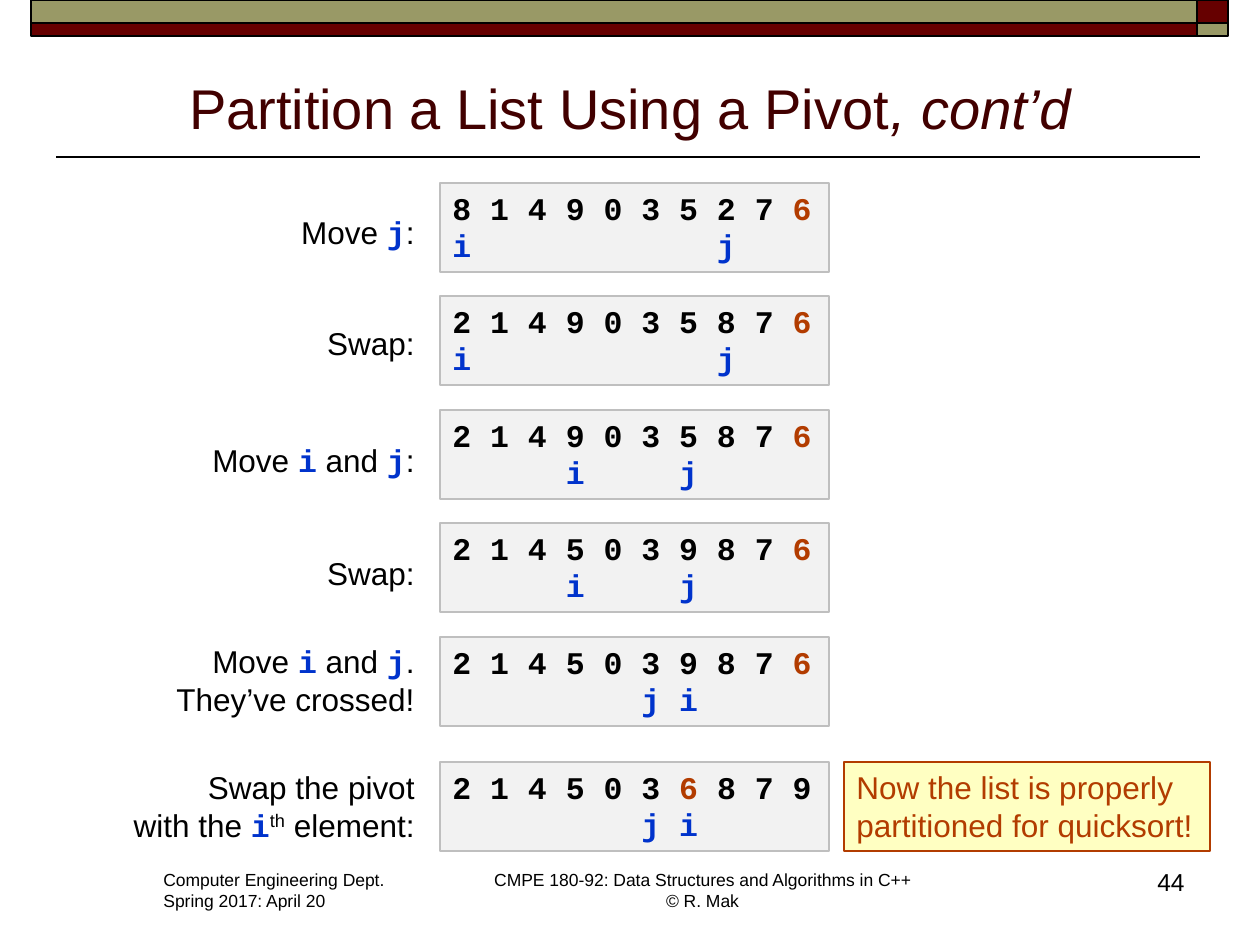
from dataclasses import dataclass

from lxml import etree
from pptx import Presentation
from pptx import util as u
from pptx.dml.color import RGBColor
from pptx.enum import shapes, text
from pptx.oxml.ns import qn

SCALE = 914400 // 126


@dataclass(frozen=True)
class Theme:
    """Colours, fonts and type sizes of the slide."""
    ink: str = "000000"
    title: str = "420000"
    maroon: str = "660000"
    olive: str = "999966"
    index: str = "0033CC"
    pivot: str = "B23C00"
    panel: str = "F2F2F2"
    panel_edge: str = "BFBFBF"
    note: str = "FFFFC2"
    sans: str = "Arial"
    mono: str = "Courier New"
    title_size: int = 32
    body_size: int = 18
    number_size: int = 14
    footer_size: int = 10
    body_pitch: float = 21.5


THEME = Theme()
LEFT, CENTER, RIGHT = (text.PP_ALIGN.LEFT, text.PP_ALIGN.CENTER,
                       text.PP_ALIGN.RIGHT)
TOP, BOTTOM = text.MSO_ANCHOR.TOP, text.MSO_ANCHOR.BOTTOM

# Span styles: font, colour, bold, italic, baseline shift
STYLES = {
    "plain": (THEME.sans, THEME.ink, False, False, 0),
    "title": (THEME.sans, THEME.title, False, False, 0),
    "slant": (THEME.sans, THEME.title, False, True, 0),
    "note": (THEME.sans, THEME.pivot, False, False, 0),
    "super": (THEME.sans, THEME.ink, False, False, 30000),
    "index": (THEME.mono, THEME.index, True, False, 0),
    "digit": (THEME.mono, THEME.ink, True, False, 0),
    "pivot": (THEME.mono, THEME.pivot, True, False, 0),
}

I, J = ("i", "index"), ("j", "index")
MOVE, AND, SWAP = ("Move ", "plain"), (" and ", "plain"), ("Swap:", "plain")
BREAK = ("", "break")

# Each step: digits, pivot position, positions of i and j,
# label left, label top, label height, label lines
STEPS = [
    ("8149035276", 9, 0, 7, 290, 207, 50, [[MOVE, J, (":", "plain")]]),
    ("2149035876", 9, 0, 7, 315, 318, 50, [[SWAP]]),
    ("2149035876", 9, 3, 6, 200, 435, 50, [[MOVE, I, AND, J, (":", "plain")]]),
    ("2145039876", 9, 3, 6, 315, 548, 50, [[SWAP]]),
    ("2145039876", 9, 6, 5, 163, 636, 88,
     [[MOVE, I, AND, J, (".", "plain")], [("They’ve crossed!", "plain")]]),
    ("2145036879", 6, 6, 5, 102, 762, 89,
     [[("Swap the pivot", "plain")],
      [("with the ", "plain"), I, ("th", "super"), (" element:", "plain")]]),
]
LABEL_RIGHT = 427
FIRST_TOP, STEP_PITCH, LAST_GAP = 183, 113.4, 12
DIGIT_PITCH = 37.8


def px(value):
    """Turn pixels into EMU."""
    return u.Emu(round(value * SCALE))


def write(box, lines, size, align=LEFT, anchor=TOP, pitch=None):
    """Fill a box with lines, each a list of (text, style) spans."""
    frame = box.text_frame
    frame.word_wrap = True
    frame.vertical_anchor = anchor
    # Only the side that the text is aligned to needs an inset
    if align != LEFT:
        frame.margin_left = 0
    if align != RIGHT:
        frame.margin_right = 0
    for number, line in enumerate(lines):
        para = frame.add_paragraph() if number else frame.paragraphs[0]
        para.alignment = align
        if pitch:
            para.line_spacing = u.Pt(pitch)
        for words, style in line:
            if style == "break":
                para.add_line_break()
                continue
            span = para.add_run()
            span.text = words
            face, color, bold, italic, shift = STYLES[style]
            span.font.name, span.font.size = face, u.Pt(size)
            span.font.bold, span.font.italic = bold, italic
            span.font.color.rgb = RGBColor.from_string(color)
            if shift:
                span._r.get_or_add_rPr().set("baseline", str(shift))


def add_text(page, area, lines, size, **options):
    """Add a text box at (left, top, width, height)."""
    box = page.shapes.add_textbox(*map(px, area))
    write(box, lines, size, **options)


def add_panel(page, area, fill, edge, weight=0.75):
    """Add a filled rectangle with an outline."""
    box = page.shapes.add_shape(shapes.MSO_SHAPE.RECTANGLE, *map(px, area))
    box.shadow.inherit = False
    box.fill.solid()
    box.fill.fore_color.rgb = RGBColor.from_string(fill)
    box.line.color.rgb = RGBColor.from_string(edge)
    box.line.width = u.Pt(weight)
    return box


def add_rule(page, left, right, y):
    """Add the line under the title."""
    rule = page.shapes.add_connector(
        shapes.MSO_CONNECTOR.STRAIGHT, px(right), px(y), px(left), px(y))
    rule.line.color.rgb = RGBColor.from_string(THEME.ink)
    rule.line.width = u.Pt(1)
    etree.SubElement(rule._element.spPr, qn("a:effectLst"))


def set_tabs(para, columns):
    """Put a left tab stop at each digit column."""
    tabs = etree.SubElement(para._p.get_or_add_pPr(), qn("a:tabLst"))
    for column in columns:
        etree.SubElement(tabs, qn("a:tab"), pos=str(px(column * DIGIT_PITCH)),
                         algn="l")


def add_list(page, top, digits, pivot, i, j):
    """Add a panel with the list and its two index markers."""
    box = add_panel(page, (440, top, 389, 89), THEME.panel, THEME.panel_edge)
    before, after = " ".join(digits[:pivot]), " ".join(digits[pivot + 1:])
    values = [(before + " ", "digit"), (digits[pivot], "pivot")]
    if after:
        values.append((" " + after, "digit"))
    markers = sorted([(i, "i"), (j, "j")])
    marks = "".join(("\t" if column else "") + name for column, name in markers)
    write(box, [values, [(marks, "index")]], THEME.body_size,
          pitch=THEME.body_pitch)
    box.text_frame.margin_top = px(6)
    box.text_frame.margin_bottom = 0
    set_tabs(box.text_frame.paragraphs[1],
             [column for column, _ in markers if column])


def add_header(page):
    """Add the title, its rule and the bands at the top."""
    add_rule(page, 56, 1200, 157)
    for left, top, width, height, fill in (
            (1197, 0, 31, 23, THEME.maroon), (31, 0, 1166, 23, THEME.olive),
            (31, 23, 1166, 13, THEME.maroon), (1197, 23, 31, 13, THEME.olive)):
        add_panel(page, (left, top, width, height), fill, THEME.ink, 1)
    add_text(page, (63, 56, 1134, 91),
             [[("Partition a List Using a Pivot", "title"),
               (", cont’d", "slant")]],
             THEME.title_size, align=CENTER, anchor=BOTTOM)


def add_footer(page):
    """Add the department, the course and the slide number."""
    add_text(page, (151, 863, 249, 55),
             [[("Computer Engineering Dept.", "plain")],
              [("Spring 2017: April 20", "plain")]], THEME.footer_size)
    add_text(page, (479, 863, 447, 55),
             [[("CMPE 180-92: Data Structures and Algorithms in C++", "plain"),
               BREAK, ("© R. Mak", "plain")]],
             THEME.footer_size, align=CENTER)
    add_text(page, (935, 861, 262, 63), [[("44", "plain")]],
             THEME.number_size, align=RIGHT)


def main():
    """Build the slide and save it."""
    deck = Presentation()
    deck.slide_width, deck.slide_height = px(1260), px(945)
    page = deck.slides.add_slide(deck.slide_layouts[6])
    add_header(page)
    add_footer(page)
    for row, (digits, pivot, i, j, left, top, height, label) in enumerate(STEPS):
        gap = LAST_GAP if row == len(STEPS) - 1 else 0
        add_list(page, round(FIRST_TOP + row * STEP_PITCH) + gap,
                 digits, pivot, i, j)
        add_text(page, (left, top, LABEL_RIGHT - left, height), label,
                 THEME.body_size, align=RIGHT, pitch=THEME.body_pitch)
    note = add_panel(page, (844, 762, 366, 89), THEME.note, THEME.pivot)
    write(note, [[("Now the list is properly", "note")],
                 [("partitioned for quicksort!", "note")]],
          THEME.body_size, pitch=THEME.body_pitch)
    note.text_frame.margin_bottom = 0
    deck.save("out.pptx")


main()
